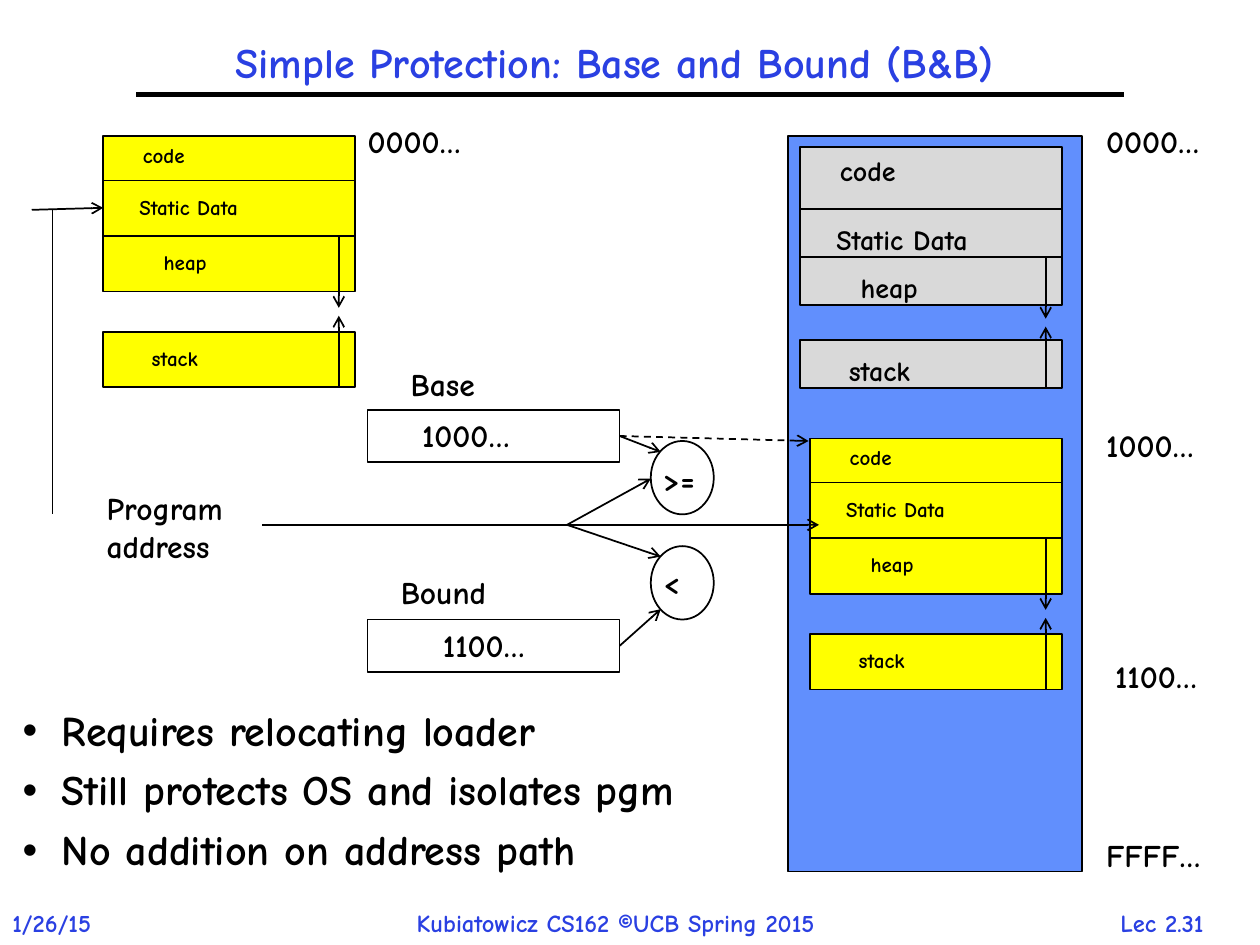
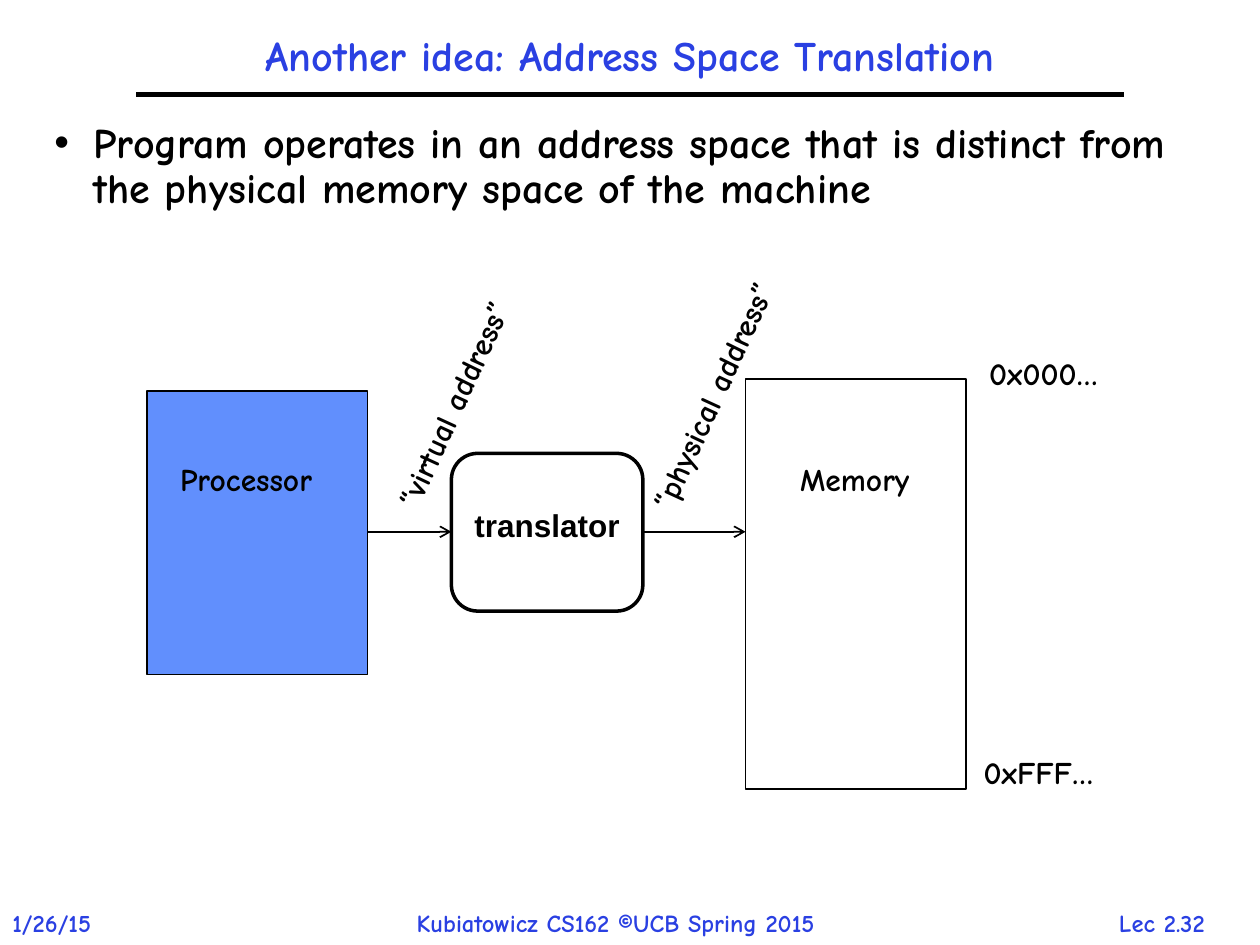
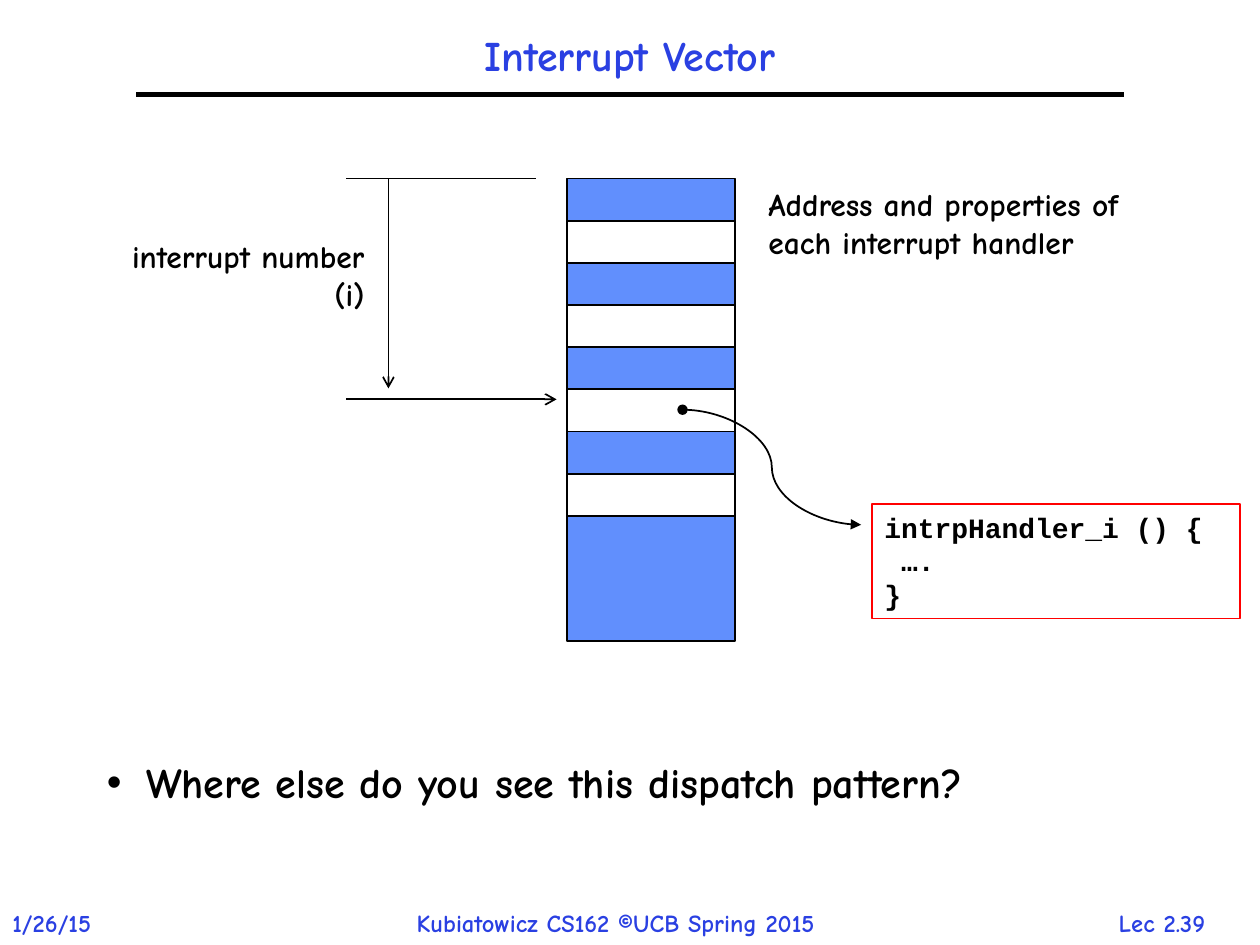
import dataclasses

import lxml.etree
import pptx
import pptx.dml.color
import pptx.enum.dml
import pptx.enum.shapes
import pptx.enum.text
import pptx.oxml.ns
import pptx.util

Cm = pptx.util.Cm
Pt = pptx.util.Pt
Align = pptx.enum.text.PP_ALIGN
Anchor = pptx.enum.text.MSO_ANCHOR
AutoSize = pptx.enum.text.MSO_AUTO_SIZE
Preset = pptx.enum.shapes.MSO_SHAPE
Connector = pptx.enum.shapes.MSO_CONNECTOR


@dataclasses.dataclass(frozen=True)
class Theme:
    ink: str = "000000"
    accent: str = "2A40E2"
    blue: str = "618FFD"
    yellow: str = "FFFF00"
    grey: str = "D9D9D9"
    white: str = "FFFFFF"
    red: str = "FF0000"
    font: str = "Comic Neue"
    sans: str = "Arial"
    mono: str = "Courier New"
    heading: int = 24
    label: int = 18
    medium: int = 16
    footer: int = 14
    small: int = 12


THEME = Theme()
TITLE_BOX = (2.75, 0.42, 19.9, 1.48)


def rgb(colour):
    return pptx.dml.color.RGBColor.from_string(colour)


def cm(*lengths):
    return [Cm(length) for length in lengths]


class Deck:
    """Holds the presentation, its theme and the slide being drawn."""

    def __init__(self, theme):
        self.theme = theme
        self.show = pptx.Presentation()
        self.show.slide_width, self.show.slide_height = cm(25.4, 19.05)
        self.slide = None

    def start_slide(self, title, number, title_box=TITLE_BOX):
        layout = self.show.slide_layouts[1]
        self.slide = self.show.slides.add_slide(layout)
        heading = self.slide.shapes.title
        self.place(heading, title_box)
        heading.text_frame.text = title
        heading.text_frame.vertical_anchor = Anchor.MIDDLE
        self.format_text(heading.text_frame, self.theme.heading,
                         self.theme.accent, align=Align.CENTER, spacing=0.9)
        self.line((2.75, 1.91), (22.65, 1.91), width=3)
        for text, left, width, align in (
            ("1/26/15", 0, 2.54, Align.LEFT),
            ("Kubiatowicz CS162 ©UCB Spring 2015", 8.15, 9.83, Align.LEFT),
            (f"Lec {number}", 21.89, 3.07, Align.CENTER),
        ):
            self.label(text, left, 18.19, width, 0.86, self.theme.footer,
                       self.theme.accent, align)

    def place(self, holder, box):
        holder.left, holder.top, holder.width, holder.height = cm(*box)
        holder.text_frame.auto_size = AutoSize.NONE

    def format_text(self, frame, size, colour=None, font=None,
                    align=Align.LEFT, spacing=None):
        for paragraph in frame.paragraphs:
            paragraph.alignment = align
            paragraph.line_spacing = spacing
            for run in paragraph.runs:
                run.font.name = font or self.theme.font
                run.font.size = Pt(size)
                run.font.bold = True
                run.font.color.rgb = rgb(colour or self.theme.ink)

    def bullets(self, points, *box):
        body = self.slide.placeholders[1]
        self.place(body, box)
        body.text_frame.text = "\n".join(points)
        self.format_text(body.text_frame, self.theme.heading, spacing=0.9)
        for paragraph in body.text_frame.paragraphs:
            paragraph.space_before = Pt(8.3)
            properties = paragraph._p.get_or_add_pPr()
            properties.set("marL", str(Cm(0.79)))
            properties.set("indent", str(Cm(-0.79)))

    def label(self, text, left, top, width, height=1.02, size=None,
              colour=None, align=Align.LEFT, wrap=False, font=None):
        caption = self.slide.shapes.add_textbox(*cm(left, top, width, height))
        frame = caption.text_frame
        frame.text = text
        frame.word_wrap = wrap
        frame.auto_size = AutoSize.SHAPE_TO_FIT_TEXT
        self.format_text(frame, size or self.theme.label, colour, font, align)
        return caption

    def box(self, left, top, width, height, fill=None,
            preset=Preset.RECTANGLE, weight=1):
        block = self.slide.shapes.add_shape(
            preset, *cm(left, top, width, height))
        block.shadow.inherit = False
        if fill:
            block.fill.solid()
            block.fill.fore_color.rgb = rgb(fill)
        else:
            block.fill.background()
        block.line.color.rgb = rgb(self.theme.ink)
        block.line.width = Pt(weight)
        return block

    def line(self, start, end, head=None, tail=None, width=1, dashed=False,
             kind=Connector.STRAIGHT):
        link = self.slide.shapes.add_connector(kind, *cm(*start, *end))
        link.line.color.rgb = rgb(self.theme.ink)
        link.line.width = Pt(width)
        if dashed:
            link.line.dash_style = pptx.enum.dml.MSO_LINE.DASH
        outline = link.line._get_or_add_ln()
        qn = pptx.oxml.ns.qn
        for tag, end_type in (("a:headEnd", head), ("a:tailEnd", tail)):
            if end_type:
                lxml.etree.SubElement(outline, qn(tag), type=end_type)
        lxml.etree.SubElement(link._element.spPr, qn("a:effectLst"))

    def arrow(self, start, end, **style):
        self.line(start, end, tail="arrow", **style)

    def memory_map(self, left, top, width, code_height, row_height, gap,
                   fill, size):
        """Draws code, data, heap and stack; heap and stack grow into the gap."""
        data_top = top + code_height
        heap_top = data_top + row_height
        heap_bottom = heap_top + row_height
        stack_top = heap_bottom + gap
        for text, row_top, height, indent, drop, text_width in (
            ("code", top, code_height, 0.55, 0, 1.65),
            ("Static Data", data_top, row_height, 0.48, 0.15, 2.97),
            ("heap", heap_top, row_height, 0.97, 0.15, 1.68),
            ("stack", stack_top, row_height, 0.73, 0.15, 1.73),
        ):
            self.box(left, row_top, width, height, fill)
            self.label(text, left + indent, row_top + drop,
                       text_width * size / self.theme.small, size=size)
        growth_x = left + width - 0.33
        meeting = heap_bottom + gap / 2
        self.arrow((growth_x, stack_top + row_height),
                   (growth_x, meeting + 0.08))
        self.arrow((growth_x, heap_top), (growth_x, meeting - 0.08))


def base_and_bound(deck):
    theme = deck.theme
    deck.start_slide("Simple Protection: Base and Bound (B&B)", "2.31",
                     (1.7, 0.28, 21.39, 2.06))
    deck.box(15.88, 2.75, 5.93, 14.82, theme.blue)
    deck.memory_map(16.13, 2.97, 5.28, 1.24, 0.97, 0.71,
                    theme.grey, theme.medium)
    for left, top in ((16.33, 8.84), (2.08, 2.75)):
        deck.memory_map(left, top, 5.08, 0.89, 1.12, 0.81,
                        theme.yellow, theme.small)

    for register_top in (8.26, 12.49):
        deck.box(7.41, register_top, 5.08, 1.06)
    for comparator_top in (8.89, 11.01):
        deck.box(13.12, comparator_top, 1.27, 1.48, preset=Preset.OVAL)

    for text, left, top, width in (
        ("0000…", 7.16, 2.33, 2.6),
        ("0000…", 22.05, 2.33, 2.6),
        ("1000…", 22.05, 8.47, 2.6),
        ("1100…", 22.23, 13.12, 2.54),
        ("FFFF…", 22.05, 16.72, 2.72),
        ("Base", 8.03, 7.24, 1.98),
        ("1000…", 8.26, 8.26, 2.6),
        ("Bound", 7.83, 11.43, 2.36),
        ("1100…", 8.68, 12.49, 2.54),
        (">=", 13.12, 9.14, 1.27),
        ("<", 13.12, 11.22, 0.89),
    ):
        deck.label(text, left, top, width)
    deck.label("Program\naddress", 1.9, 9.74, 2.97, 1.8)

    base_out, bound_out = (12.49, 8.79), (12.49, 13.02)
    address_fork = (11.43, 10.58)
    deck.arrow(base_out, (16.3, 8.89), dashed=True)
    for start, end in (
        ((5.29, 10.58), (16.51, 10.58)),
        ((0.64, 4.23), (2.08, 4.19)),
        (base_out, (13.32, 9.11)),
        (address_fork, (13.12, 9.65)),
        (address_fork, (13.32, 11.22)),
        (bound_out, (13.32, 12.28)),
    ):
        deck.arrow(start, end)
    deck.line((1.06, 4.23), (1.06, 10.37))
    deck.bullets(["Requires relocating loader",
                  "Still protects OS and isolates pgm",
                  "No addition on address path"], 0.2, 14.18, 15.66, 4.23)


def address_translation(deck):
    theme = deck.theme
    deck.start_slide("Another idea: Address Space Translation", "2.32")
    deck.bullets(["Program operates in an address space that is distinct "
                  "from the physical memory space of the machine"],
                 0.84, 2.33, 23.92, 3.81)
    deck.box(15.03, 7.64, 4.45, 8.26)
    deck.box(2.96, 7.88, 4.45, 5.72, theme.blue)
    translator = deck.box(9.1, 9.14, 3.86, 3.18, theme.white,
                          Preset.FLOWCHART_ALTERNATE_PROCESS, weight=2)
    frame = translator.text_frame
    frame.text = "translator"
    frame.vertical_anchor = Anchor.MIDDLE
    frame.margin_bottom = Cm(0.41)
    deck.format_text(frame, theme.label, font=theme.sans, align=Align.CENTER)

    for text, left, top, width in (
        ("Processor", 3.38, 9.14, 3.4),
        ("Memory", 15.88, 9.14, 2.82),
        ("0x000…", 19.69, 7.01, 2.9),
        ("0xFFF…", 19.58, 15.06, 3),
    ):
        deck.label(text, left, top, width)
    for text, left, top, width in (
        ("“virtual address”", 6.6, 7.57, 5.13),
        ("“physical address”", 11.56, 7.34, 5.72),
    ):
        deck.label(text, left, top, width).rotation = 294.7
    for start_x, end_x in ((7.41, 9.1), (12.96, 15.03)):
        deck.arrow((start_x, 10.72), (end_x, 10.72))


def interrupt_vector(deck):
    theme = deck.theme
    deck.start_slide("Interrupt Vector", "2.39")
    deck.bullets(["Where else do you see this dispatch pattern?"],
                 1.9, 15.24, 21.16, 2.34)
    vector_left, vector_top, vector_width, entry_height = 11.43, 3.6, 3.39, 0.85
    deck.box(vector_left, vector_top, vector_width, 9.32, theme.blue)
    for entry in (1, 3, 5, 7):
        deck.box(vector_left, vector_top + entry * entry_height,
                 vector_width, entry_height, theme.white)

    deck.line((10.8, vector_top), (6.98, vector_top))
    deck.arrow((7.83, vector_top), (7.83, 7.83))
    deck.arrow((6.98, 8.05), (11.22, 8.05))
    deck.line((13.76, 8.26), (17.36, 10.58), head="oval", tail="triangle",
              kind=Connector.CURVE)

    deck.label("interrupt number\n(i)", 2.34, 4.65, 5.26, 1.8,
               align=Align.RIGHT)
    deck.label("Address and properties of each interrupt handler",
               15.24, vector_top, 7.62, 1.8, wrap=True)
    handler = deck.label("intrpHandler_i () {\n ….\n}", 17.58, 10.16, 7.42,
                         2.31, theme.medium, wrap=True, font=theme.mono)
    handler.line.color.rgb = rgb(theme.red)
    handler.line.width = Pt(0.75)


def main():
    deck = Deck(THEME)
    base_and_bound(deck)
    address_translation(deck)
    interrupt_vector(deck)
    deck.show.save("out.pptx")


if __name__ == "__main__":
    main()
